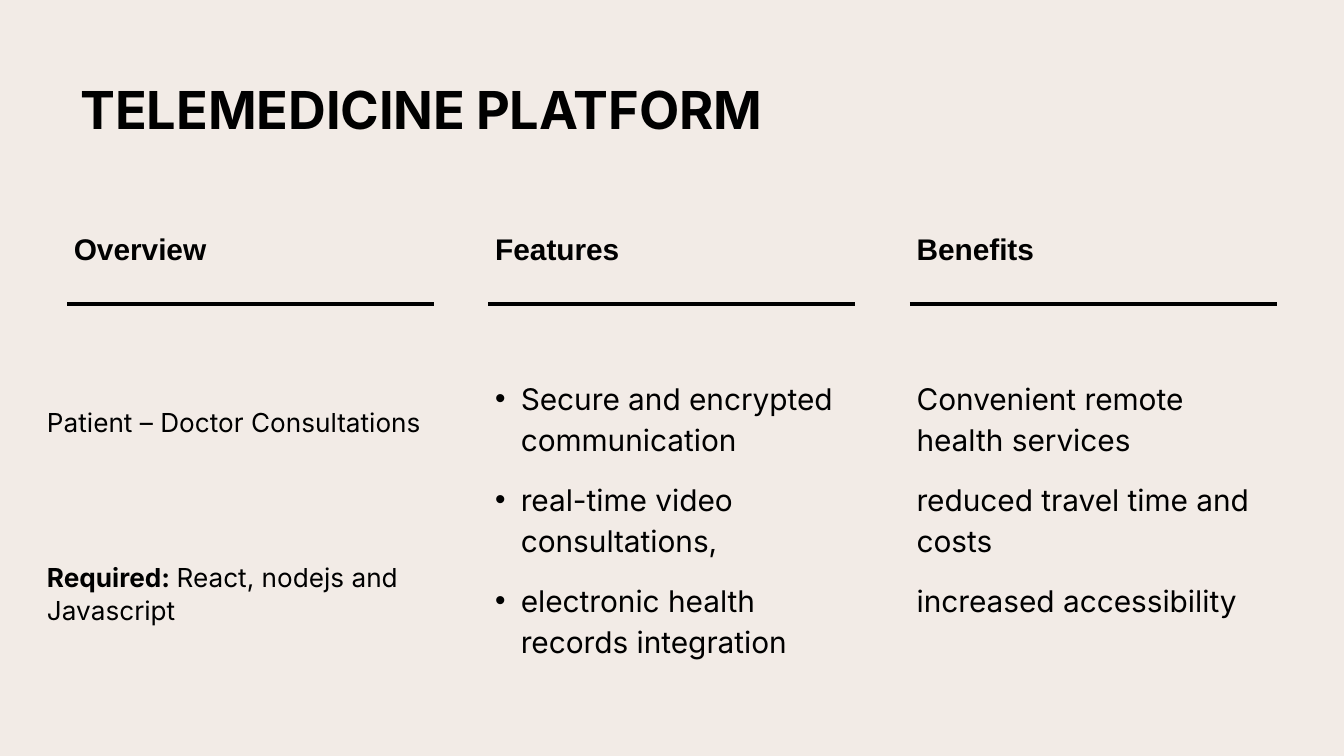
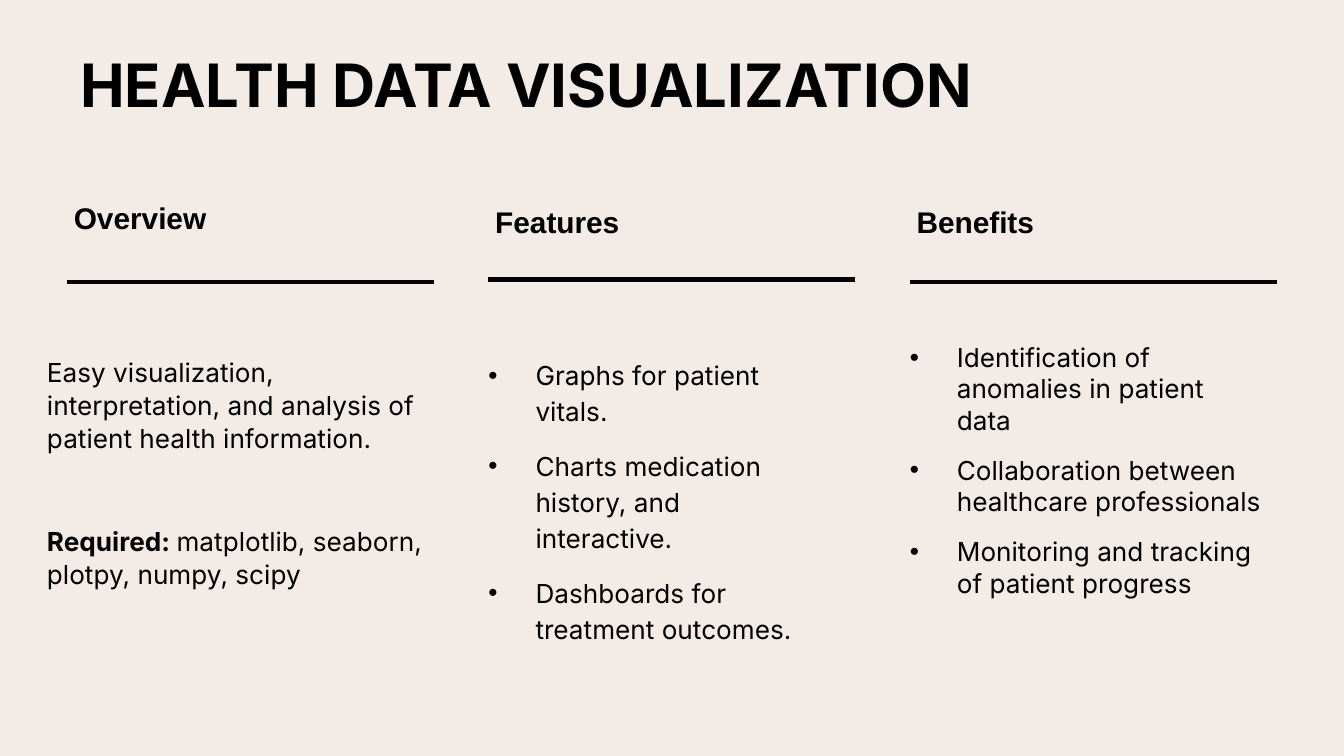
"""Build two project slides, each with a title and three ruled columns."""
from dataclasses import dataclass

from lxml import etree
from pptx import Presentation
from pptx import util as u
from pptx.dml.color import RGBColor
from pptx.enum import shapes, text
from pptx.oxml.ns import qn


@dataclass(frozen=True)
class Theme:
    """Colours, fonts, type sizes and the column grid."""
    paper: str = "F2EBE6"
    ink: str = "000000"
    font: str = "Inter"
    heading_font: str = "Arial"
    heading_size: int = 16
    rule_weight: float = 2.25
    width: float = 10
    height: float = 10 * 9 / 16
    margin: float = 0.5
    column: float = 2.73
    title_height: float = 0.63
    heading_height: float = 0.79
    body_height: float = 2.39
    after: int = 10


THEME = Theme()
HEADINGS = ("Overview", "Features", "Benefits")
TITLE_INSETS = (0.1, 0.1, 0.1, 0.1)
HEADING_INSETS = (0.05, 0, 0.15, 0.15)
OVERVIEW_INSETS = (0.05, 0.2, 0.15, 0.1)
LIST_INSETS = (0.05, 0.2, 0.1, 0.1)

# Body: shift from the column's left edge, top, width, size, line spacing,
# bullet indent (left, first line), gap before later paragraphs, paragraphs.
SLIDES = [
    {
        "title": [("TELEMEDICINE", 28), (" ", 24), ("PLATFORM", 28)],
        "title_top": 0.49,
        "heading_tops": (1.34, 1.34, 1.34),
        "rules": (2.26, 2.26, 2.26),
        "bodies": [
            dict(shift=-0.2, top=2.81, width=3.13, size=14, spacing=1.05, gap=55.8,
                 insets=OVERVIEW_INSETS,
                 lines=["Patient – Doctor Consultations",
                        ("Required: ", "React, nodejs and Javascript")]),
            dict(top=2.59, size=16, spacing=1.15, bullet=(0.19, -0.19),
                 lines=["Secure and encrypted communication",
                        "real-time video consultations,",
                        "electronic health records integration"]),
            dict(top=2.59, size=16, spacing=1.15,
                 lines=["Convenient remote health services",
                        "reduced travel time and costs",
                        "increased accessibility"]),
        ],
    },
    {
        "title": [("HEALTH DATA VISUALIZATION", 32)],
        "title_top": 0.31,
        "heading_tops": (1.11, 1.14, 1.14),
        "rules": (2.1, 2.08, 2.1),
        "bodies": [
            dict(shift=-0.2, top=2.44, width=3.13, size=14, spacing=1.05, gap=27.7,
                 insets=OVERVIEW_INSETS,
                 lines=["Easy visualization, interpretation, and analysis of "
                        "patient health information.",
                        ("Required: ", "matplotlib, seaborn, plotpy, numpy, scipy")]),
            dict(shift=-0.2, top=2.44, size=14, spacing=1.15, bullet=(0.5, -0.35),
                 lines=["Graphs for patient vitals.",
                        "Charts medication history, and interactive.",
                        "Dashboards for treatment outcomes."]),
            dict(shift=-0.2, top=2.34, width=2.93, size=14, spacing=1,
                 bullet=(0.5, -0.35),
                 lines=["Identification of anomalies in patient data",
                        "Collaboration between healthcare professionals",
                        "Monitoring and tracking of patient progress"]),
        ],
    },
]


def column_left(index):
    """Return the left edge of a column."""
    step = (THEME.width - 2 * THEME.margin - THEME.column) / (len(HEADINGS) - 1)
    return THEME.margin + index * step


def add_box(page, left, top, width, height, insets, anchor):
    """Add an empty wrapped text box and return its frame."""
    box = page.shapes.add_textbox(*map(u.Inches, (left, top, width, height)))
    frame = box.text_frame
    frame.word_wrap = True
    frame.auto_size = text.MSO_AUTO_SIZE.NONE
    frame.vertical_anchor = anchor
    (frame.margin_left, frame.margin_top,
     frame.margin_right, frame.margin_bottom) = map(u.Inches, insets)
    return frame


def add_span(para, words, size, bold=False, font=THEME.font):
    """Add one styled run."""
    span = para.add_run()
    span.text = words
    span.font.name = font
    span.font.size = u.Pt(size)
    span.font.bold = bold
    span.font.color.rgb = RGBColor.from_string(THEME.ink)


def add_bullet(para, left, first):
    """Give a paragraph a round bullet and a hanging indent."""
    props = para._p.get_or_add_pPr()
    props.set("marL", str(u.Inches(left)))
    props.set("indent", str(u.Inches(first)))
    colour = etree.SubElement(props, qn("a:buClr"))
    etree.SubElement(colour, qn("a:srgbClr"), val=THEME.ink)
    etree.SubElement(props, qn("a:buFont"), typeface=THEME.heading_font)
    etree.SubElement(props, qn("a:buChar"), char="•")


def add_title(page, parts, top):
    """Add the slide title."""
    frame = add_box(page, THEME.margin, top, THEME.width - 2 * THEME.margin,
                    THEME.title_height, TITLE_INSETS, text.MSO_ANCHOR.MIDDLE)
    for words, size in parts:
        add_span(frame.paragraphs[0], words, size, bold=True)


def add_heading(page, words, left, top):
    """Add a column heading."""
    frame = add_box(page, left, top, THEME.column, THEME.heading_height,
                    HEADING_INSETS, text.MSO_ANCHOR.BOTTOM)
    add_span(frame.paragraphs[0], words, THEME.heading_size, True, THEME.heading_font)


def add_rule(page, left, top):
    """Add the line under a column heading."""
    ends = (left, top, left + THEME.column, top)
    rule = page.shapes.add_connector(shapes.MSO_CONNECTOR.STRAIGHT, *map(u.Inches, ends))
    rule.line.color.rgb = RGBColor.from_string(THEME.ink)
    rule.line.width = u.Pt(THEME.rule_weight)
    etree.SubElement(rule._element.spPr, qn("a:effectLst"))


def add_body(page, left, lines, top, size, spacing, shift=0, width=THEME.column,
             gap=0, bullet=None, insets=LIST_INSETS):
    """Add the paragraphs of a column; a pair has a bold lead-in."""
    frame = add_box(page, left + shift, top, width, THEME.body_height,
                    insets, text.MSO_ANCHOR.TOP)
    for index, line in enumerate(lines):
        para = frame.add_paragraph() if index else frame.paragraphs[0]
        if bullet:
            add_bullet(para, *bullet)
        para.line_spacing = spacing
        para.space_after = u.Pt(THEME.after)
        if index and gap:
            para.space_before = u.Pt(gap)
        lead, words = line if isinstance(line, tuple) else ("", line)
        if lead:
            add_span(para, lead, size, bold=True)
        add_span(para, words, size)


def main():
    """Build and save the deck."""
    deck = Presentation()
    deck.slide_width, deck.slide_height = u.Inches(THEME.width), u.Inches(THEME.height)
    for content in SLIDES:
        page = deck.slides.add_slide(deck.slide_layouts[6])
        page.background.fill.solid()
        page.background.fill.fore_color.rgb = RGBColor.from_string(THEME.paper)
        add_title(page, content["title"], content["title_top"])
        columns = zip(HEADINGS, content["heading_tops"], content["rules"], content["bodies"])
        for index, (heading, heading_top, rule_top, body) in enumerate(columns):
            left = column_left(index)
            add_heading(page, heading, left, heading_top)
            add_rule(page, left, rule_top)
            add_body(page, left, **body)
    deck.save("out.pptx")


if __name__ == "__main__":
    main()
